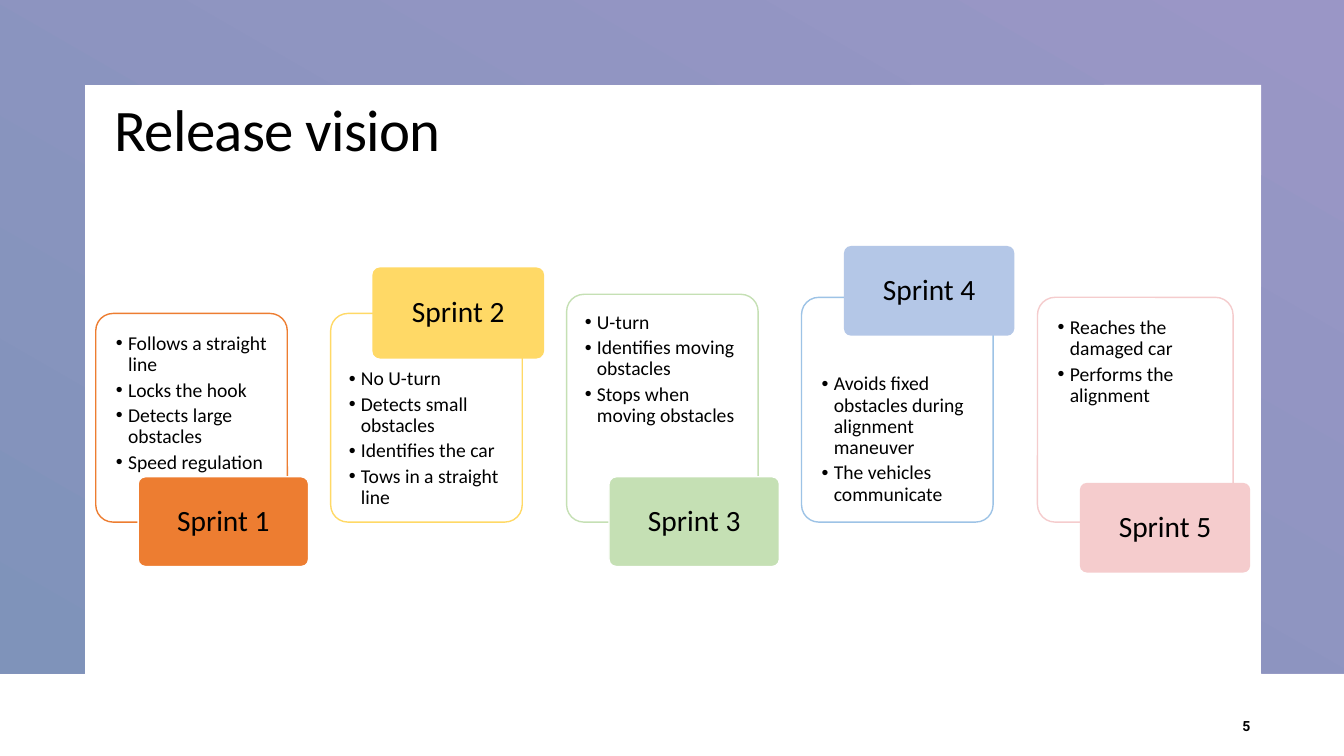
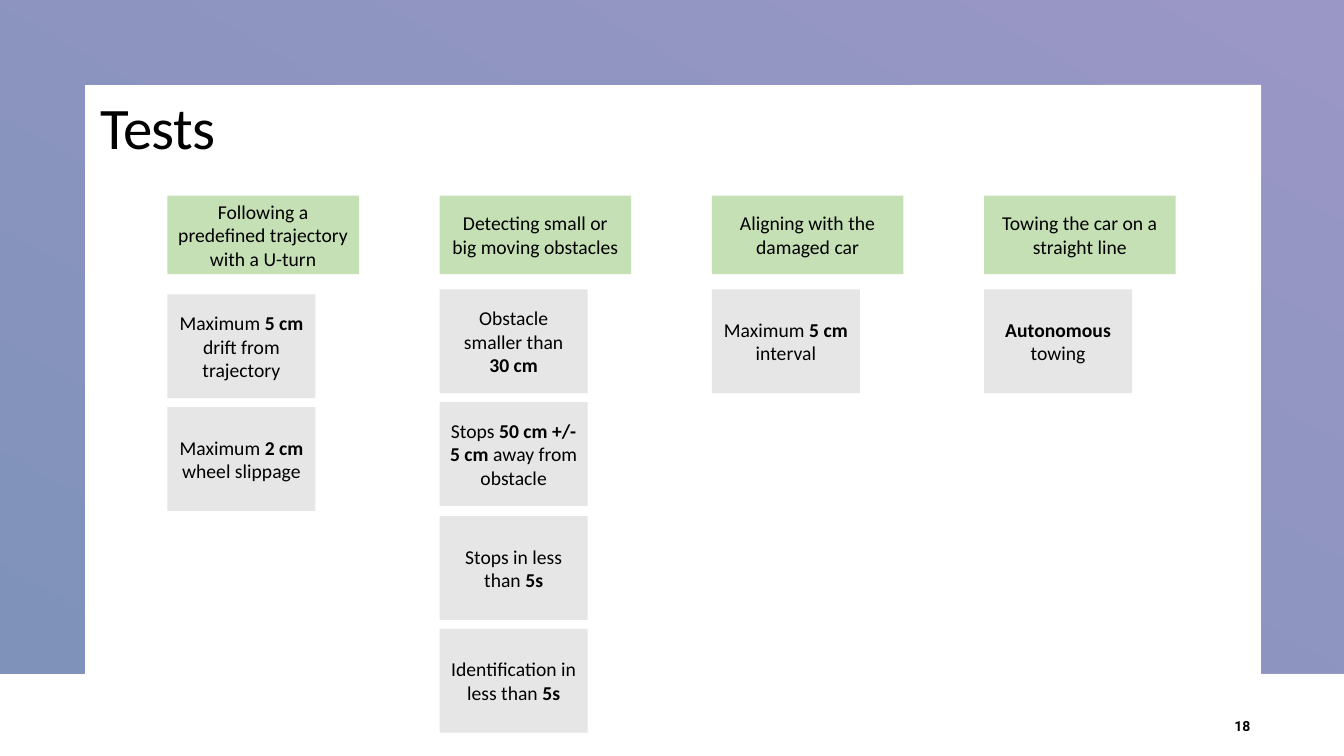
from dataclasses import dataclass

from lxml.etree import SubElement
from pptx import Presentation
from pptx.dml.color import RGBColor
from pptx.enum.shapes import MSO_SHAPE as Preset
from pptx.enum.text import MSO_ANCHOR as Anchor, PP_ALIGN as Align
from pptx.oxml.ns import qn
from pptx.util import Emu, Pt

PX = 9144
WIDTH, HEIGHT = 1333, 750
BLACK, WHITE, GREEN, GREY = "000000", "FFFFFF", "C5E0B4", "E7E6E6"
FRAME_START, FRAME_END = "9A96C6", "7F93BA"
BODY_FONT, NUMBER_FONT = "Calibri", "Roboto"

PANEL_PITCH_X2, PANEL_LEFT, PANEL_BOTTOM = 467, 95, 518
LABEL_SHIFT, LABEL_WIDTH, LABEL_HEIGHT = 42, 169, 89
BULLET_INDENT = 12

COLUMN_LEFT, COLUMN_PITCH = 166, 270
HEADER_TOP, HEADER_WIDTH, HEADER_HEIGHT = 194, 190, 78
CARD_WIDTH, CARD_HEIGHT, CARD_PITCH_X2 = 147, 103, 225


@dataclass
class Sprint:
    """One sprint: a bulleted panel and the label that overlaps it."""
    color: str
    panel_top: int
    label_top: int
    text_top: int
    items: list
    outline: str
    label_outline: str = None
    side: int = 15
    width: int = 190


SPRINTS = [
    Sprint("ED7D31", 311, 473, 15,
           ["Follows a straight line", "Locks the hook",
            "Detects large obstacles", "Speed regulation"],
           "ED7D31", WHITE),
    Sprint("FFD966", 311, 266, 50,
           ["No U-turn", "Detects small obstacles",
            "Identifies the car", "Tows in a straight line"],
           "FFD966", "FFD966", side=13),
    Sprint(GREEN, 292, 473, 13,
           ["U-turn", "Identifies moving obstacles",
            "Stops when moving obstacles"],
           GREEN, WHITE, side=13),
    Sprint("B4C7E7", 295, 244, 71,
           ["Avoids fixed obstacles during alignment maneuver",
            "The vehicles communicate"],
           "9DC3E6"),
    Sprint("F5CCCD", 295, 479, 15,
           ["Reaches the damaged car", "Performs the alignment"],
           "F5CCCD", width=194),
]

TESTS = [
    ("Following a predefined trajectory with a U-turn", 292,
     ["Maximum **5 cm** drift from trajectory",
      "Maximum **2 cm** wheel slippage"]),
    ("Detecting small or big moving obstacles", 287,
     ["Obstacle smaller than\n**30 cm**",
      "Stops **50 cm +/- 5 cm** away from obstacle",
      "Stops in less than **5s**",
      "Identification in less than **5s**"]),
    ("Aligning with the damaged car", 287, ["Maximum **5 cm** interval"]),
    ("Towing the car on a straight line", 287, ["**Autonomous** towing"]),
]


def px(length):
    """Turn px into EMU."""
    return Emu(length * PX)


def rgb(color):
    """Turn a hex string into a colour."""
    return RGBColor.from_string(color)


def set_bullet(paragraph):
    """Give a paragraph a hanging round bullet."""
    properties = paragraph._p.get_or_add_pPr()
    properties.set("marL", str(px(BULLET_INDENT)))
    properties.set("indent", str(-px(BULLET_INDENT)))
    SubElement(properties, qn("a:buFont")).set("typeface", "Arial")
    SubElement(properties, qn("a:buChar")).set("char", "•")


def write(shape, lines, size, align=Align.CENTER, anchor=Anchor.MIDDLE,
          font=BODY_FONT, spacing=None, after=None, bullets=False):
    """Write lines into a shape, with bold between double asterisks."""
    frame = shape.text_frame
    frame.word_wrap = True
    frame.vertical_anchor = anchor
    for index, line in enumerate(lines):
        paragraph = frame.add_paragraph() if index else frame.paragraphs[0]
        paragraph.alignment = align
        paragraph.line_spacing = spacing
        paragraph.space_after = after
        if bullets:
            set_bullet(paragraph)
        paragraph.font.name = font
        paragraph.font.size = Pt(size)
        paragraph.font.color.rgb = rgb(BLACK)
        for part, text in enumerate(line.split("**")):
            if text:
                run = paragraph.add_run()
                run.text = text
                if part % 2:
                    run.font.bold = True
    return frame


def add_box(slide, preset, left, top, width, height, fill, outline=None):
    """Add a filled preset shape with an optional thin outline."""
    shape = slide.shapes.add_shape(preset, px(left), px(top), px(width), px(height))
    shape.shadow.inherit = False
    shape.fill.solid()
    shape.fill.fore_color.rgb = rgb(fill)
    if outline:
        shape.line.color.rgb = rgb(outline)
        shape.line.width = Pt(1)
    else:
        shape.line.fill.background()
    return shape


def add_frame(slide):
    """Add the gradient frame that surrounds the content on three sides."""
    left, top, right, bottom = 84, 84, 1251, 668
    builder = slide.shapes.build_freeform(0, 0, scale=PX)
    builder.add_line_segments([(WIDTH, 0), (WIDTH, bottom), (right, bottom),
                               (right, top), (left, top), (left, bottom), (0, bottom)])
    shape = builder.convert_to_shape()
    shape.shadow.inherit = False
    shape.line.fill.background()
    shape.fill.gradient()
    shape.fill.gradient_angle = 240
    for stop, color in zip(shape.fill.gradient_stops, (FRAME_START, FRAME_END)):
        stop.color.rgb = rgb(color)


def add_text(slide, left, top, width, height, text, size, **style):
    """Add a one-line text box."""
    box = slide.shapes.add_textbox(px(left), px(top), px(width), px(height))
    return write(box, [text], size, **style)


def add_page(presentation, title, title_left, title_top, number):
    """Add a slide with the shared frame, title and page number."""
    slide = presentation.slides.add_slide(presentation.slide_layouts[6])
    add_frame(slide)
    frame = add_text(slide, title_left, title_top, 1000, 82, title, 42,
                     align=Align.LEFT, anchor=Anchor.TOP, spacing=0.95)
    frame.paragraphs[0].runs[0]._r.get_or_add_rPr().set("spc", "-50")
    add_text(slide, 1192, 700, 58, 40, f"**{number}**", 10,
             align=Align.RIGHT, font=NUMBER_FONT)
    return slide


def add_sprint(slide, index, sprint):
    """Add a sprint's bulleted panel and its label."""
    left = PANEL_LEFT + index * PANEL_PITCH_X2 // 2
    panel = add_box(slide, Preset.ROUNDED_RECTANGLE, left, sprint.panel_top, sprint.width,
                    PANEL_BOTTOM - sprint.panel_top, WHITE, sprint.outline)
    panel.adjustments[0] = 0.09
    frame = write(panel, sprint.items, 14, Align.LEFT, Anchor.TOP,
                  spacing=0.9, after=Pt(3), bullets=True)
    frame.margin_left = frame.margin_right = px(sprint.side)
    frame.margin_top = px(sprint.text_top)
    label = add_box(slide, Preset.ROUNDED_RECTANGLE, left + LABEL_SHIFT, sprint.label_top,
                    LABEL_WIDTH, LABEL_HEIGHT, sprint.color, sprint.label_outline)
    label.adjustments[0] = 0.08
    write(label, [f"Sprint {index + 1}"], 21, spacing=0.9)


def add_test_column(slide, index, header, first_top, cards):
    """Add a test header with its criteria cards below."""
    left = COLUMN_LEFT + index * COLUMN_PITCH
    box = add_box(slide, Preset.RECTANGLE, left, HEADER_TOP, HEADER_WIDTH, HEADER_HEIGHT, GREEN)
    write(box, [header], 14)
    for row, text in enumerate(cards):
        card = add_box(slide, Preset.RECTANGLE, left, first_top + row * CARD_PITCH_X2 // 2,
                       CARD_WIDTH, CARD_HEIGHT, GREY)
        write(card, text.split("\n"), 14)


def main():
    """Build and save the presentation."""
    presentation = Presentation()
    presentation.slide_width, presentation.slide_height = px(WIDTH), px(HEIGHT)
    vision = add_page(presentation, "Release vision", 104, 92, 5)
    for index, sprint in enumerate(SPRINTS):
        add_sprint(vision, index, sprint)
    tests = add_page(presentation, "Tests", 90, 90, 18)
    for index, column in enumerate(TESTS):
        add_test_column(tests, index, *column)
    presentation.save("out.pptx")


if __name__ == "__main__":
    main()
